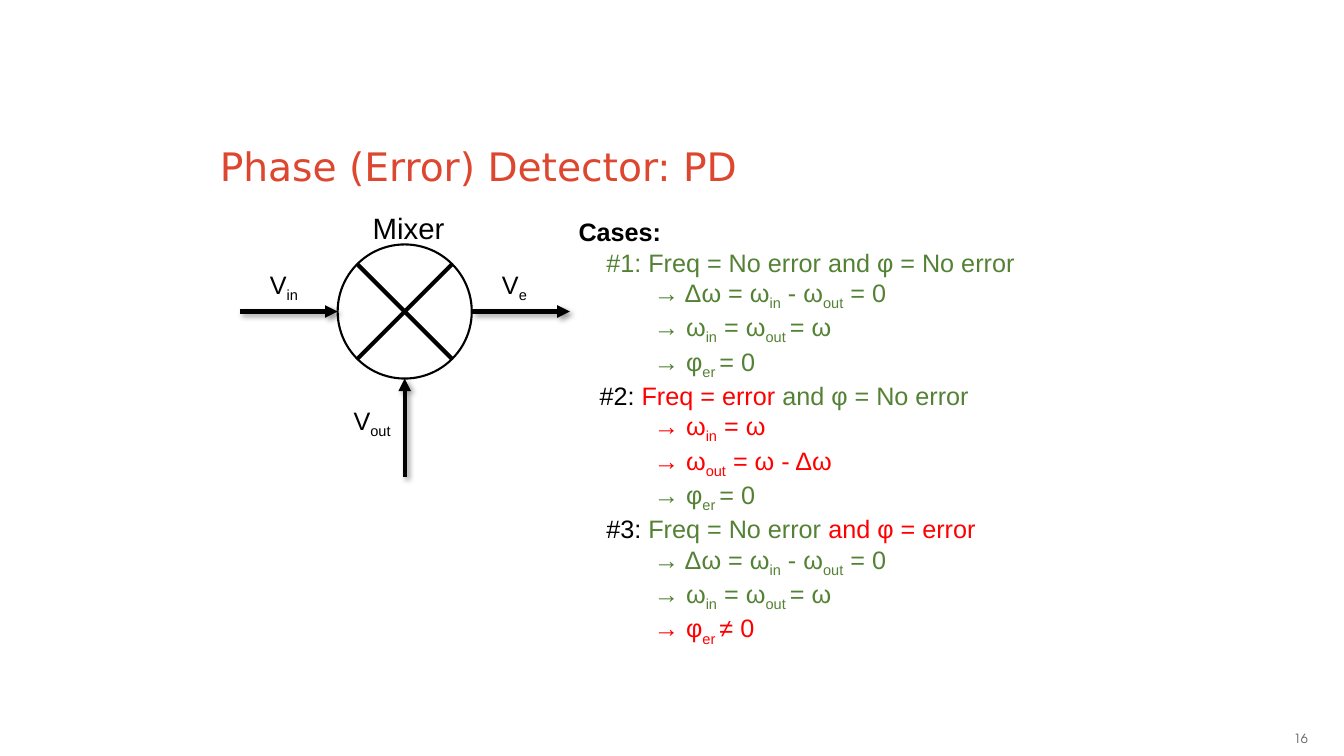
from dataclasses import dataclass
from math import cos, pi

from lxml.etree import SubElement
from pptx import Presentation
from pptx.dml.color import RGBColor as RGB
from pptx.enum.shapes import MSO_CONNECTOR as CONN, MSO_SHAPE as SHAPE
from pptx.enum.text import MSO_ANCHOR as ANCHOR, PP_ALIGN as ALIGN
from pptx.oxml.ns import qn
from pptx.util import Cm, Pt


@dataclass(frozen=True)
class Theme:
    black: RGB = RGB(0, 0, 0)
    ok: RGB = RGB(0x54, 0x82, 0x35)
    error: RGB = RGB(0xFF, 0, 0)
    title: RGB = RGB(0xDD, 0x46, 0x2F)
    number: RGB = RGB(0x59, 0x59, 0x59)
    title_pt: float = 28
    mixer_pt: float = 21
    body_pt: float = 18
    number_pt: float = 9
    title_font: str = "DejaVu Sans"
    body_font: str = "Arial"
    number_font: str = "TeX Gyre Adventor"


T = Theme()


@dataclass(frozen=True)
class Phrase:
    text: str  # every second piece between bars is a subscript
    color: RGB = T.black
    bold: bool = False


@dataclass(frozen=True)
class Line:
    phrases: tuple[Phrase, ...]
    indent: float = 0
    size: float = T.body_pt
    font: str = T.body_font
    align: ALIGN = ALIGN.LEFT


@dataclass(frozen=True)
class Label:
    x: float
    y: float
    w: float
    h: float
    lines: tuple[Line, ...]
    anchor: ANCHOR = ANCHOR.TOP
    inset: tuple[float, float] = (0.25, 0.13)


@dataclass(frozen=True)
class Stroke:
    x1: float
    y1: float
    x2: float
    y2: float


def case(*phrases: Phrase, indent: float = 0.7) -> Line:
    return Line(phrases, indent)


def step(text: str, color: RGB) -> Line:
    return Line((Phrase("→ " + text, color),), 1.9)


def add_label(shapes, label: Label) -> None:
    sp = shapes.add_textbox(Cm(label.x), Cm(label.y), Cm(label.w), Cm(label.h))
    tf = sp.text_frame
    tf.word_wrap = True
    tf.vertical_anchor = label.anchor
    tf.margin_left = tf.margin_right = Cm(label.inset[0])
    tf.margin_top = tf.margin_bottom = Cm(label.inset[1])
    for i, line in enumerate(label.lines):
        p = tf.add_paragraph() if i else tf.paragraphs[0]
        p.alignment = line.align
        if line.indent:
            pPr = p._p.get_or_add_pPr()
            pPr.set("marL", str(Cm(line.indent)))
            pPr.set("indent", "0")
        for phrase in line.phrases:
            for k, piece in enumerate(phrase.text.split("|")):
                if not piece:
                    continue
                r = p.add_run()
                r.text = piece
                r.font.name, r.font.size = line.font, Pt(line.size)
                r.font.bold = phrase.bold
                r.font.color.rgb = phrase.color
                if k % 2:
                    r._r.get_or_add_rPr().set("baseline", "-25000")


def add_line(shapes, s: Stroke, arrow: bool = False) -> None:
    """Draw a thick line; an arrow also gets a head and a soft shadow."""
    c = shapes.add_connector(CONN.STRAIGHT, Cm(s.x1), Cm(s.y1), Cm(s.x2), Cm(s.y2))
    c.line.color.rgb, c.line.width = T.black, Pt(3)
    if arrow:
        SubElement(c.line._get_or_add_ln(), qn("a:tailEnd"), type="triangle")
    effects = SubElement(c._element.spPr, qn("a:effectLst"))
    if arrow:
        shadow = SubElement(effects, qn("a:outerShdw"), blurRad=str(Pt(4)), dist=str(Pt(3)),
                            dir="2700000", algn="tl", rotWithShape="0")
        color = SubElement(shadow, qn("a:srgbClr"), val=str(T.black))
        SubElement(color, qn("a:alpha"), val="40000")


def add_mixer(shapes, x: float, y: float, radius: float) -> None:
    sp = shapes.add_shape(SHAPE.OVAL, Cm(x - radius), Cm(y - radius), Cm(2 * radius), Cm(2 * radius))
    sp.shadow.inherit = False
    sp.fill.background()
    sp.line.color.rgb, sp.line.width = T.black, Pt(1.5)
    d = radius * cos(pi / 4)
    for side in (1, -1):
        add_line(shapes, Stroke(x - side * d, y - d, x + side * d, y + d))


CX, CY, RADIUS, REACH = 10.2, 7.85, 1.69, 2.47
FAR = RADIUS + REACH
ARROWS = (
    Stroke(CX - FAR, CY, CX - RADIUS, CY),
    Stroke(CX + RADIUS, CY, CX + FAR, CY),
    Stroke(CX, CY + FAR, CX, CY + RADIUS),
)

SAME_FREQ = (
    step("Δω = ω|in| - ω|out| = 0", T.ok),
    step("ω|in| = ω|out |= ω", T.ok),
)
NO_PHASE_ERROR = step("φ|er |= 0", T.ok)
CASES = (
    Line((Phrase("Cases:", bold=True),)),
    case(Phrase("#1: Freq = No error and φ = No error", T.ok)),
    *SAME_FREQ,
    NO_PHASE_ERROR,
    case(Phrase("#2: "), Phrase("Freq = error ", T.error), Phrase("and φ = No error", T.ok), indent=0.53),
    step("ω|in| = ω", T.error),
    step("ω|out| = ω - Δω", T.error),
    NO_PHASE_ERROR,
    case(Phrase("#3: "), Phrase("Freq = No error ", T.ok), Phrase("and φ = error", T.error)),
    *SAME_FREQ,
    step("φ|er |≠ 0", T.error),
)

LABELS = (
    Label(5.36, 2.11, 15.93, 2.77,
          (Line((Phrase("Phase (Error) Detector: PD", T.title),), 0, T.title_pt, T.title_font),),
          ANCHOR.BOTTOM, (0.18, 0.1)),
    Label(24.05, 18.11, 9.09, 1.02,
          (Line((Phrase("16", T.number),), 0, T.number_pt, T.number_font, ALIGN.RIGHT),),
          ANCHOR.MIDDLE, (0.18, 0.1)),
    Label(9.14, 5.16, 3.38, 1.14, (Line((Phrase("Mixer"),), size=T.mixer_pt),)),
    Label(6.55, 6.65, 1.7, 1.02, (Line((Phrase("V|in"),)),)),
    Label(8.66, 10.08, 1.6, 1.02, (Line((Phrase("V|out"),)),)),
    Label(12.4, 6.65, 1.57, 1.02, (Line((Phrase("V|e"),)),)),
    Label(14.33, 5.33, 13.26, 10.26, CASES),
)


def main() -> None:
    prs = Presentation()
    prs.slide_width, prs.slide_height = Cm(33.87), Cm(19.05)
    shapes = prs.slides.add_slide(prs.slide_layouts[6]).shapes
    add_mixer(shapes, CX, CY, RADIUS)
    for arrow in ARROWS:
        add_line(shapes, arrow, arrow=True)
    for label in LABELS:
        add_label(shapes, label)
    prs.save("out.pptx")


if __name__ == "__main__":
    main()
